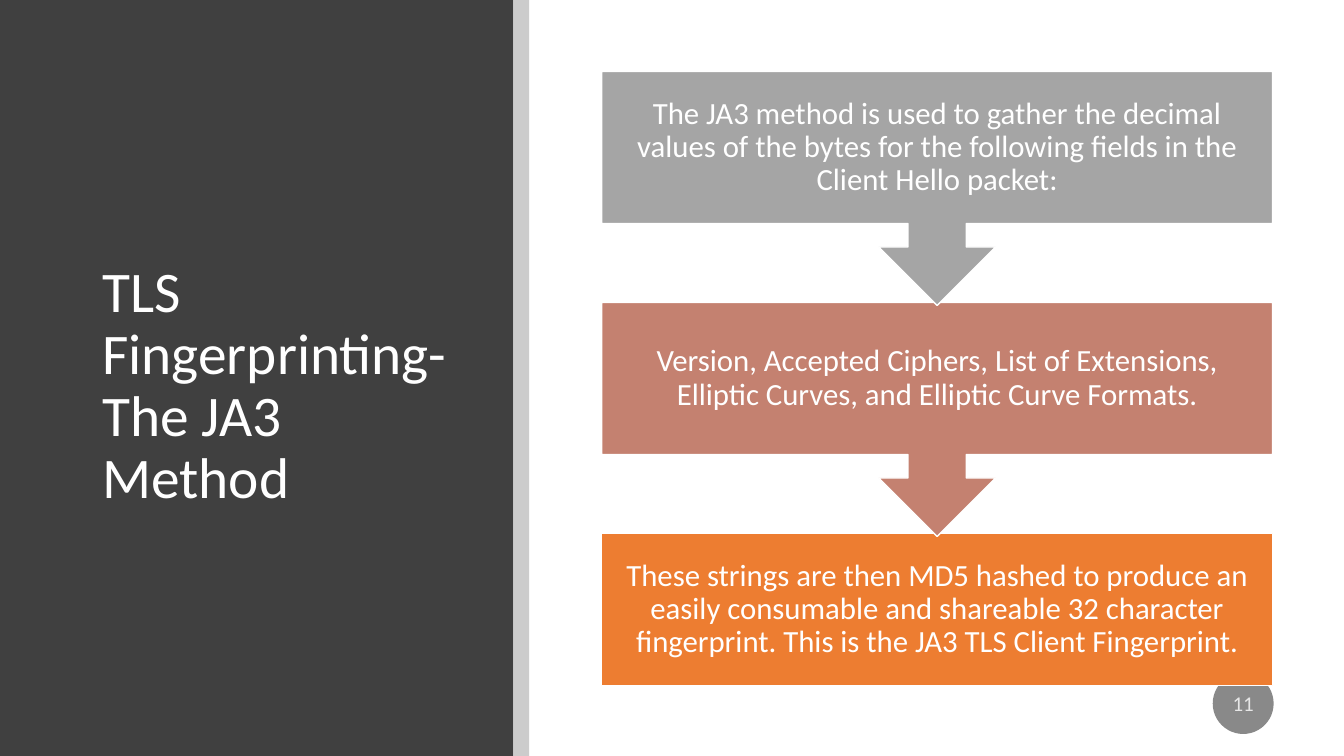
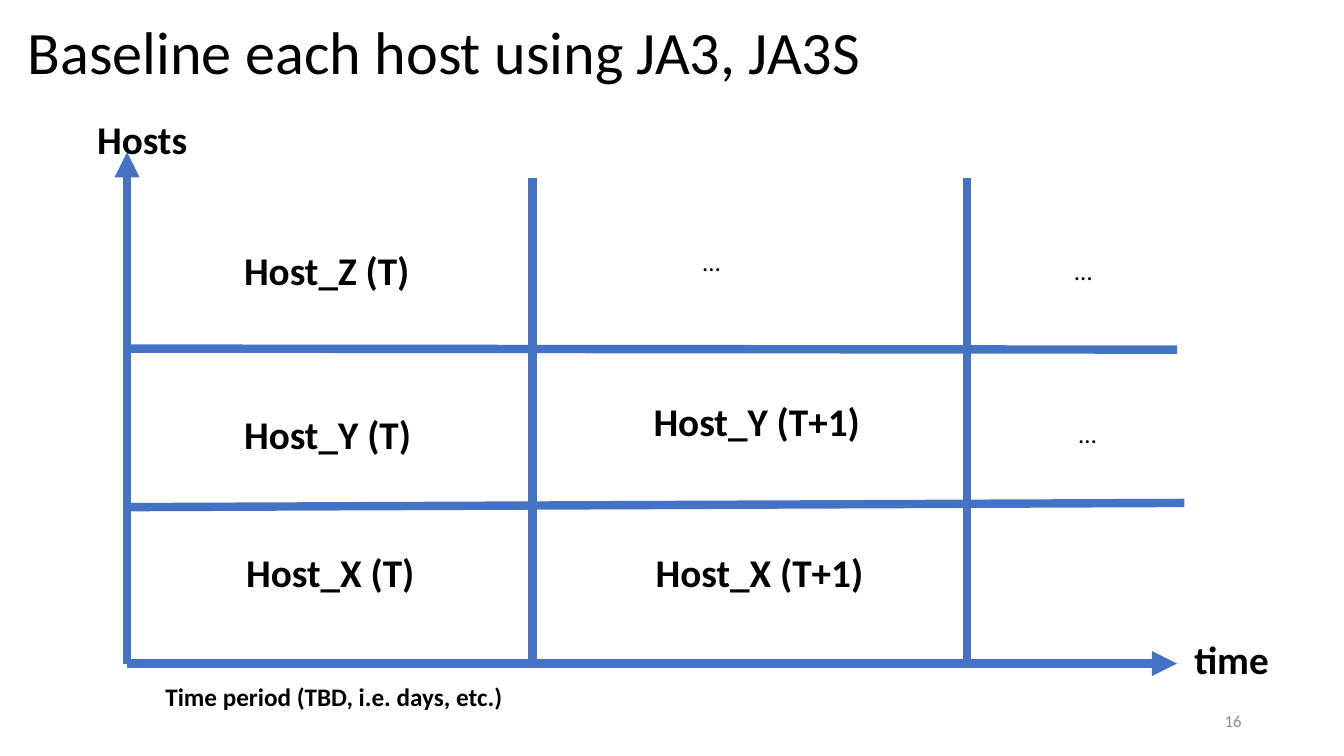
from lxml.etree import SubElement
from pptx import Presentation
from pptx.dml.color import RGBColor
from pptx.enum.shapes import MSO_CONNECTOR, MSO_SHAPE
from pptx.enum.text import MSO_ANCHOR, PP_ALIGN
from pptx.oxml.ns import qn
from pptx.util import Emu, Pt

FONT = "Calibri"
WIDE, HIGH = 1280, 720

BLACK = RGBColor(0x00, 0x00, 0x00)
WHITE = RGBColor(0xFF, 0xFF, 0xFF)
DARK = RGBColor(0x40, 0x40, 0x40)
PALE = RGBColor(0xCC, 0xCC, 0xCC)
BADGE = RGBColor(0x89, 0x89, 0x89)
BADGE_TEXT = RGBColor(0xE7, 0xE7, 0xE7)
FOOTER = RGBColor(0x8C, 0x8C, 0x8C)
GRAY = RGBColor(0xA5, 0xA5, 0xA5)
ROSE = RGBColor(0xC4, 0x81, 0x70)
ORANGE = RGBColor(0xED, 0x7D, 0x31)
BLUE = RGBColor(0x44, 0x72, 0xC4)

STEPS = [
    ("The JA3 method is used to gather the decimal values of the bytes "
     "for the following fields in the Client Hello packet:", GRAY),
    ("Version, Accepted Ciphers, List of Extensions, Elliptic Curves, "
     "and Elliptic Curve Formats.", ROSE),
    ("These strings are then MD5 hashed to produce an easily consumable "
     "and shareable 32 character fingerprint. This is the JA3 TLS Client "
     "Fingerprint.", ORANGE),
]

# text, left, top, width
LABELS = [
    ("Hosts", 83, 105, 106),
    ("time", 1128, 600, 91),
    ("Host_Z (T)", 223, 230, 179),
    ("Host_Y (T)", 223, 386, 180),
    ("Host_X (T)", 225, 517, 181),
    ("Host_Y (T+1)", 613, 374, 218),
    ("Host_X (T+1)", 615, 517, 220),
]
DOTS = [(660, 230), (1014, 238), (1018, 394)]

LEFT, BASE, RIGHT = 121, 632, 1121
AXES = [(LEFT, BASE, RIGHT, BASE), (LEFT, BASE, LEFT, 145)]
GRID = [
    (507, 170, 507, 628),
    (921, 170, 921, 628),
    (RIGHT, 333, LEFT, 332),
    (1128, 479, LEFT, 483),
]


def px(*values):
    """Turn px (96 to the inch) into EMU."""
    return [Emu(value * 9525) for value in values]


def write(frame, text, size=28, color=BLACK, bold=False,
          align=PP_ALIGN.LEFT, anchor=MSO_ANCHOR.TOP, space=None,
          wrap=True, inset=None):
    frame.word_wrap = wrap
    frame.vertical_anchor = anchor
    if inset is not None:
        (pad,) = px(inset)
        frame.margin_left = frame.margin_right = pad
        frame.margin_top = frame.margin_bottom = pad
    para = frame.paragraphs[0]
    para.alignment = align
    para.line_spacing = space
    run = para.add_run()
    run.text = text
    font = run.font
    font.name, font.size, font.bold = FONT, Pt(size), bold
    font.color.rgb = color


def add_text(slide, text, x, y, w, h, **style):
    box = slide.shapes.add_textbox(*px(x, y, w, h))
    write(box.text_frame, text, **style)


def add_title(slide, text, x, y, w, h, **style):
    add_text(slide, text, x, y, w, h, anchor=MSO_ANCHOR.MIDDLE,
             space=0.9, **style)


def add_label(slide, text, x, y, w, h=55, bold=True, **style):
    add_text(slide, text, x, y, w, h, wrap=False, bold=bold, **style)


def add_block(slide, kind, x, y, w, h, fill, edge=None):
    block = slide.shapes.add_shape(kind, *px(x, y, w, h))
    block.shadow.inherit = False
    block.fill.solid()
    block.fill.fore_color.rgb = fill
    if edge is None:
        block.line.fill.background()
    else:
        block.line.color.rgb = edge
        block.line.width = Pt(1)
    return block


def add_line(slide, ends, arrow=False):
    line = slide.shapes.add_connector(MSO_CONNECTOR.STRAIGHT, *px(*ends))
    line.line.color.rgb = BLUE
    line.line.width = Pt(6)
    props = line._element.spPr
    if arrow:
        SubElement(props.find(qn("a:ln")), qn("a:tailEnd"), type="triangle")
    SubElement(props, qn("a:effectLst"))


def add_steps(slide):
    """Stack the steps from the last up, so each arrow lies on the next."""
    last = len(STEPS) - 1
    for row in range(last, -1, -1):
        text, fill = STEPS[row]
        kind, high = MSO_SHAPE.DOWN_ARROW_CALLOUT, 223
        if row == last:
            kind, high = MSO_SHAPE.RECTANGLE, 145
        block = add_block(slide, kind, 573, 68 + 220 * row, 639, high,
                          fill, edge=WHITE)
        write(block.text_frame, text, size=22, color=WHITE,
              align=PP_ALIGN.CENTER, anchor=MSO_ANCHOR.MIDDLE,
              space=0.9, inset=16)


def draw_method(slide):
    add_block(slide, MSO_SHAPE.RECTANGLE, 0, 0, 489, HIGH, DARK)
    add_block(slide, MSO_SHAPE.RECTANGLE, 489, 0, 15, HIGH, PALE)
    add_title(slide, "TLS Fingerprinting- The JA3 Method", 88, 85, 350, 567,
              size=41, color=WHITE)
    badge = add_block(slide, MSO_SHAPE.OVAL, 1155, 641, 58, 58, BADGE)
    write(badge.text_frame, "11", size=15, color=BADGE_TEXT,
          align=PP_ALIGN.CENTER, anchor=MSO_ANCHOR.MIDDLE, inset=0)
    add_steps(slide)


def draw_hosts(slide):
    add_title(slide, "Baseline each host using JA3, JA3S", 17, 14, 1104, 77,
              size=43)
    add_text(slide, "16", 904, 667, 288, 38, size=12, color=FOOTER,
             align=PP_ALIGN.RIGHT, anchor=MSO_ANCHOR.MIDDLE)
    for ends in AXES:
        add_line(slide, ends, arrow=True)
    for ends in GRID:
        add_line(slide, ends)
    for label in LABELS:
        add_label(slide, *label)
    add_label(slide, "Time period (TBD, i.e. days, etc.)", 148, 644, 343, 38,
              size=18)
    for x, y in DOTS:
        add_label(slide, "…", x, y, 36, 38, size=18, bold=False)


def main():
    deck = Presentation()
    deck.slide_width, deck.slide_height = px(WIDE, HIGH)
    blank = deck.slide_layouts[6]
    for draw in (draw_method, draw_hosts):
        draw(deck.slides.add_slide(blank))
    deck.save("out.pptx")


if __name__ == "__main__":
    main()
